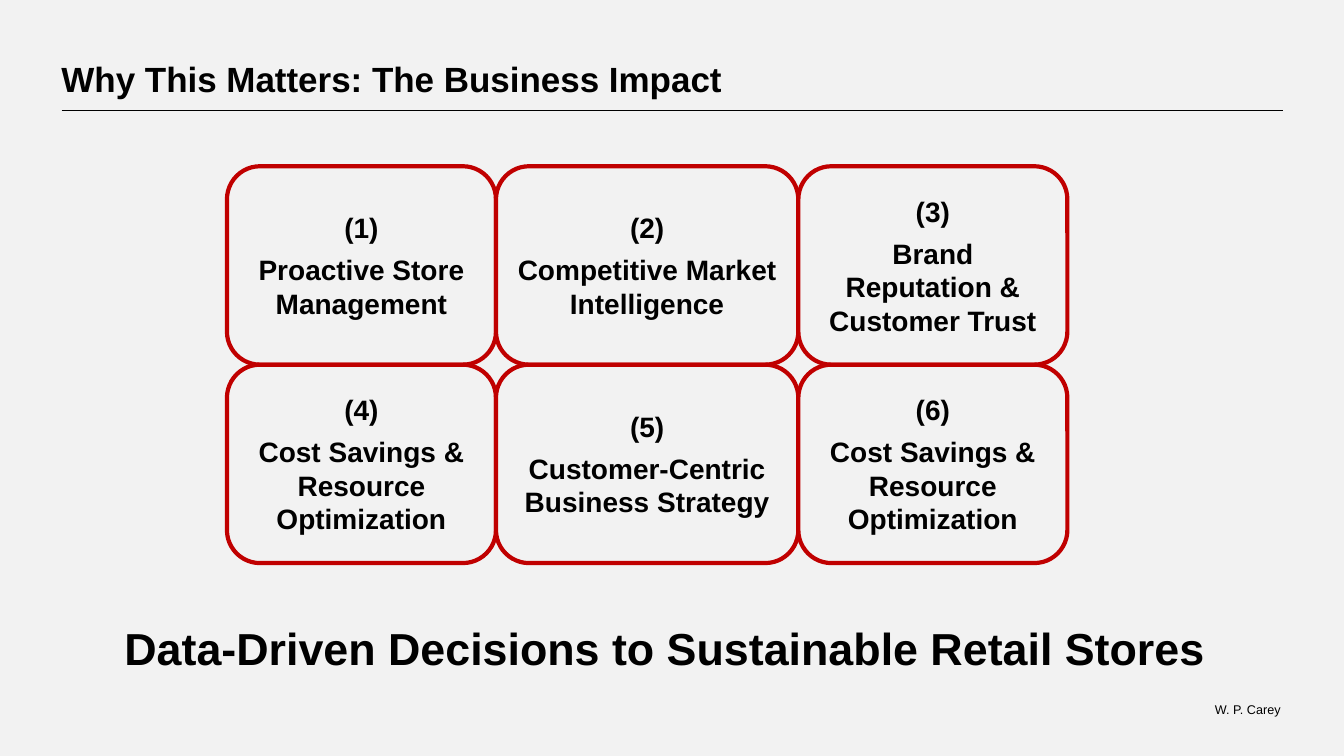
from dataclasses import dataclass

from lxml import etree
from pptx import Presentation
from pptx.dml.color import RGBColor
from pptx.enum.shapes import MSO_CONNECTOR, MSO_SHAPE
from pptx.enum.text import MSO_ANCHOR, PP_ALIGN
from pptx.oxml.ns import qn
from pptx.util import Cm, Pt

ROUNDED = MSO_SHAPE.ROUNDED_RECTANGLE
STRAIGHT = MSO_CONNECTOR.STRAIGHT
TOP, MIDDLE, BOTTOM = MSO_ANCHOR.TOP, MSO_ANCHOR.MIDDLE, MSO_ANCHOR.BOTTOM
LEFT, CENTER = PP_ALIGN.LEFT, PP_ALIGN.CENTER


@dataclass(frozen=True)
class Theme:
    font: str = "Arial"
    background: RGBColor = RGBColor(0xF2, 0xF2, 0xF2)
    ink: RGBColor = RGBColor(0, 0, 0)
    accent: RGBColor = RGBColor(0xC0, 0, 0)
    title: Pt = Pt(25)
    message: Pt = Pt(32)
    card: Pt = Pt(20)
    footer: Pt = Pt(9)


theme = Theme()


def write(shape, lines, size, align, anchor, inset=(0.25, 0.13), bold=True, wrap=True):
    """Fill a shape with one paragraph per line; inset is (sides, top and bottom) in cm."""
    frame = shape.text_frame
    frame.word_wrap = wrap
    frame.vertical_anchor = anchor
    frame.margin_left = frame.margin_right = Cm(inset[0])
    frame.margin_top = frame.margin_bottom = Cm(inset[1])
    for index, line in enumerate(lines):
        paragraph = frame.add_paragraph() if index else frame.paragraphs[0]
        paragraph.alignment = align
        if index:
            paragraph.space_before = Pt(6)
        run = paragraph.add_run()
        run.text = line
        run.font.name = theme.font
        run.font.size = size
        run.font.bold = bold
        run.font.color.rgb = theme.ink


presentation = Presentation()
presentation.slide_width, presentation.slide_height = Cm(33.87), Cm(19.05)
slide = presentation.slides.add_slide(presentation.slide_layouts[6])
slide.background.fill.solid()
slide.background.fill.fore_color.rgb = theme.background

# Header and footer
footer = slide.shapes.add_textbox(Cm(30.58), Cm(17.7), Cm(1.73), Cm(0.38))
write(footer, ["W. P. Carey"], theme.footer, CENTER, MIDDLE, (0, 0), bold=False, wrap=False)

rule = slide.shapes.add_connector(STRAIGHT, Cm(1.55), Cm(2.79), Cm(32.33), Cm(2.79))
rule.line.color.rgb = theme.ink
rule.line.width = Pt(0.75)
etree.SubElement(rule._element.spPr, qn("a:effectLst"))

title = slide.shapes.add_textbox(Cm(1.55), Cm(0.48), Cm(28.22), Cm(2.03))
write(title, ["Why This Matters: The Business Impact"], theme.title, LEFT, BOTTOM, (0, 0))

message = slide.shapes.add_textbox(Cm(1.55), Cm(15.52), Cm(30.43), Cm(1.63))
write(message, ["Data-Driven Decisions to Sustainable Retail Stores"], theme.message, CENTER, TOP)

# Impact cards, three to a row
impacts = [
    "Proactive Store Management",
    "Competitive Market Intelligence",
    "Brand Reputation & Customer Trust",
    "Cost Savings & Resource Optimization",
    "Customer-Centric Business Strategy",
    "Cost Savings & Resource Optimization",
]
column_widths = [6.78, 7.62, 6.78]
grid_left, grid_top, card_height = 5.72, 4.19, 5

for index, impact in enumerate(impacts):
    row, column = divmod(index, len(column_widths))
    card = slide.shapes.add_shape(
        ROUNDED,
        Cm(grid_left + sum(column_widths[:column])),
        Cm(grid_top + row * card_height),
        Cm(column_widths[column]),
        Cm(card_height),
    )
    card.shadow.inherit = False
    card.fill.solid()
    card.fill.fore_color.rgb = theme.background
    card.line.color.rgb = theme.accent
    card.line.width = Pt(3)
    write(card, [f"({index + 1})", impact], theme.card, CENTER, MIDDLE)

presentation.save("out.pptx")
